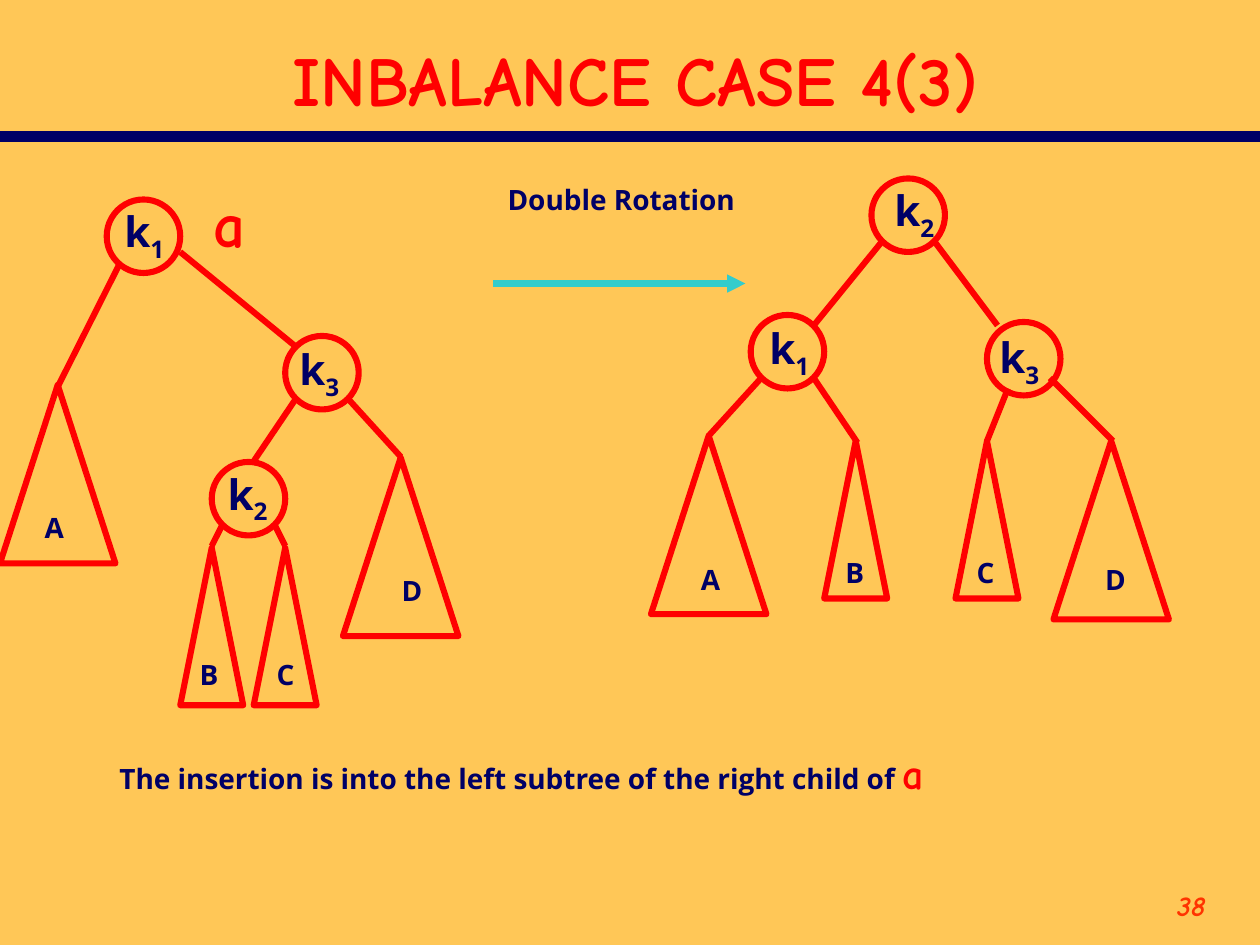
from lxml import etree
from pptx import Presentation
from pptx.dml.color import RGBColor
from pptx.enum.shapes import MSO_CONNECTOR, MSO_SHAPE
from pptx.enum.text import MSO_ANCHOR, PP_ALIGN
from pptx.oxml.ns import qn
from pptx.util import Pt

COLORS = {
    "background": "FFC757",
    "navy": "000066",
    "red": "FF0000",
    "orange": "FF3300",
    "teal": "33CCCC",
}
HEADING_FONT, BODY_FONT = "Comic Neue", "Open Sans"
NODE_SIZE = 42
WIDE, NARROW = (66, 102), (36, 90)

prs = Presentation()
prs.slide_width, prs.slide_height = Pt(720), Pt(540)
slide = prs.slides.add_slide(prs.slide_layouts[6])
slide.background.fill.solid()
slide.background.fill.fore_color.rgb = RGBColor.from_string(COLORS["background"])


def add_text(text, left, top, width, height, size=16, color="navy", font=BODY_FONT,
             bold=True, italic=False, align=PP_ALIGN.LEFT, anchor=MSO_ANCHOR.TOP,
             subscript="", box=None):
    """Add a text box, or append a run to the given box."""
    if box is None:
        box = slide.shapes.add_textbox(Pt(left), Pt(top), Pt(width), Pt(height))
        box.text_frame.word_wrap = True
        box.text_frame.vertical_anchor = anchor
        box.text_frame.paragraphs[0].alignment = align
    for part in filter(None, (text, subscript)):
        run = box.text_frame.paragraphs[0].add_run()
        run.text = part
        run.font.name, run.font.size = font, Pt(size)
        run.font.bold, run.font.italic = bold, italic
        run.font.color.rgb = RGBColor.from_string(COLORS[color])
    if subscript:
        run.font._element.set("baseline", "-25000")
    return box


def add_line(x1, y1, x2, y2, color="red", width=3.5, arrow=False):
    line = slide.shapes.add_connector(
        MSO_CONNECTOR.STRAIGHT, Pt(x1), Pt(y1), Pt(x2), Pt(y2))
    line.line.color.rgb = RGBColor.from_string(COLORS[color])
    line.line.width = Pt(width)
    if arrow:
        etree.SubElement(line.line._get_or_add_ln(), qn("a:tailEnd"), type="triangle")
    etree.SubElement(line._element.spPr, qn("a:effectLst"))


# Heading, caption and page number
add_line(0, 78, 720, 78, color="navy", width=6)
add_text("INBALANCE CASE 4(3)", 30, 18, 666, 54, size=40, color="red",
         font=HEADING_FONT, align=PP_ALIGN.CENTER, anchor=MSO_ANCHOR.MIDDLE)
add_text("38", 624, 504, 72, 36, color="orange", font=HEADING_FONT,
         italic=True, align=PP_ALIGN.RIGHT)
caption = add_text("The insertion is into the left subtree of the right child of ",
                   61.2, 423.5, 520, 40)
add_text("a", 0, 0, 0, 0, size=24, color="red", font=HEADING_FONT, box=caption)
add_text("a", 115, 102, 40, 50, size=36, color="red", font=HEADING_FONT)

# Edges of the tree before, then after, the rotation
edges = [
    (68.5, 150.5, 33, 221), (103, 144, 169, 198),
    (169, 228, 144, 265), (199, 228, 229, 261),
    (127, 300, 121, 312), (157, 300, 163, 312),
    (504, 138, 465, 186), (534, 138, 570, 186),
    (435, 216, 405, 249), (465, 216, 490, 253),
    (576, 222, 564, 252), (600, 216, 636, 252),
]
for edge in edges:
    add_line(*edge)

# Nodes: index, circle corner, label corner
nodes = [
    ("1", (61, 114), (64, 114)), ("3", (163, 192), (164, 193)),
    ("2", (121, 264), (123, 264)),
    ("2", (498, 102), (504, 102)), ("1", (429, 180), (432.5, 181)),
    ("3", (564, 184), (564, 186)),
]
# Subtrees: letter, triangle corner, triangle size, label corner
subtrees = [
    ("A", (0, 220), WIDE, (18.5, 288)), ("D", (196, 261.5), WIDE, (222.5, 324)),
    ("B", (103, 313), NARROW, (107, 372)), ("C", (145, 313), NARROW, (151, 372)),
    ("A", (372, 249), WIDE, (393.5, 318)), ("D", (602, 252), WIDE, (624.5, 318)),
    ("B", (471, 252), NARROW, (476, 314)), ("C", (546, 252), NARROW, (551, 314)),
]
outlines = [(MSO_SHAPE.OVAL, corner, (NODE_SIZE, NODE_SIZE)) for _, corner, _ in nodes]
outlines += [(MSO_SHAPE.ISOSCELES_TRIANGLE, corner, size)
             for _, corner, size, _ in subtrees]
for kind, corner, size in outlines:
    outline = slide.shapes.add_shape(kind, *map(Pt, corner + size))
    outline.shadow.inherit = False
    outline.fill.background()
    outline.line.color.rgb = RGBColor.from_string(COLORS["red"])
    outline.line.width = Pt(3.5)

for index, _, corner in nodes:
    add_text("k", *corner, 40, 40, size=24, subscript=index)
for letter, _, _, corner in subtrees:
    add_text(letter, *corner, 28, 27)

# Rotation arrow
add_line(282, 162, 426, 162, color="teal", arrow=True)
add_text("Double Rotation", 283, 101, 150, 27)

prs.save("out.pptx")
